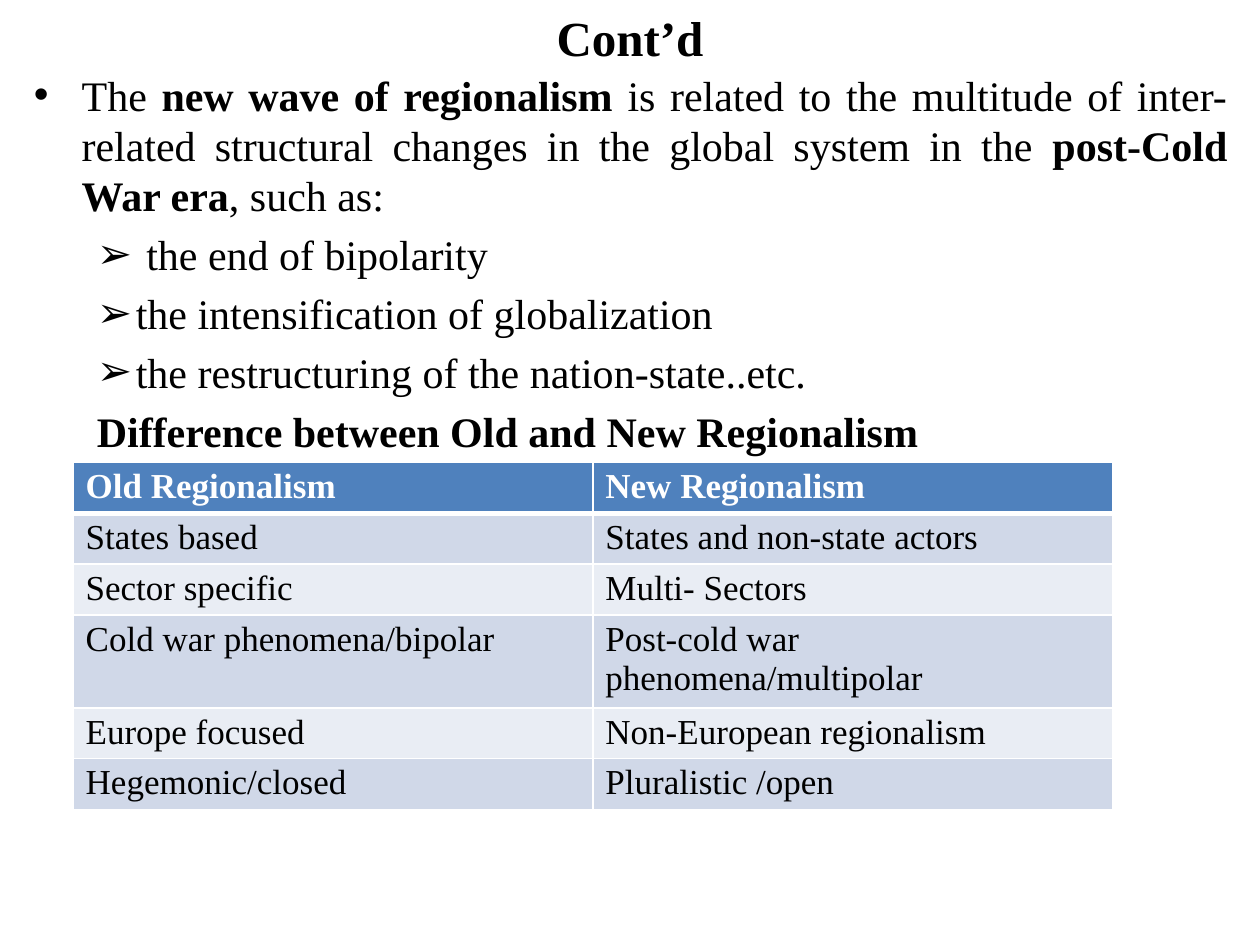
from typing import NamedTuple

from lxml.etree import SubElement
from pptx import Presentation
from pptx.dml.color import RGBColor
from pptx.enum.text import MSO_ANCHOR, PP_ALIGN
from pptx.oxml.ns import qn
from pptx.util import Inches, Pt

FONT = "Times New Roman"
BLACK = RGBColor(0x00, 0x00, 0x00)
WHITE = RGBColor(0xFF, 0xFF, 0xFF)
HEADER_BLUE = RGBColor(0x4F, 0x81, 0xBD)
BAND_DARK = RGBColor(0xD0, 0xD8, 0xE8)
BAND_LIGHT = RGBColor(0xE9, 0xED, 0xF4)


class Span(NamedTuple):
    text: str
    bold: bool = False


class Point(NamedTuple):
    spans: list[Span]
    margin: float
    indent: float = 0
    bullet: str = ""
    level: int = 0


def arrow_point(text: str) -> Point:
    return Point([Span(text)], 0.81, -0.31, "➢", 1)


POINTS = [
    Point(
        [
            Span("The "),
            Span("new wave of regionalism ", True),
            Span("is related to the multitude of inter-related structural changes "
                 "in the global system in the "),
            Span("post-Cold War era", True),
            Span(", such as:"),
        ],
        0.38, -0.38, "•",
    ),
    arrow_point(" the end of bipolarity"),
    arrow_point("the intensification of globalization"),
    arrow_point("the restructuring of the nation-state..etc."),
    Point([Span("Difference between Old and New Regionalism", True)], 0.5, level=1),
]

COMPARISON = [
    ("Old Regionalism", "New Regionalism"),
    ("States based", "States and non-state actors"),
    ("Sector specific", "Multi- Sectors"),
    ("Cold war phenomena/bipolar", "Post-cold war\nphenomena/multipolar"),
    ("Europe focused", "Non-European regionalism"),
    ("Hegemonic/closed", "Pluralistic /open"),
]


def add_run(paragraph, span: Span, size: float, color: RGBColor = BLACK) -> None:
    run = paragraph.add_run()
    run.text = span.text
    run.font.name = FONT
    run.font.size = Pt(size)
    run.font.bold = span.bold
    run.font.color.rgb = color


def add_text_frame(slide, left: float, top: float, width: float, height: float):
    shape = slide.shapes.add_textbox(
        Inches(left), Inches(top), Inches(width), Inches(height))
    shape.text_frame.word_wrap = True
    return shape.text_frame


def format_point(paragraph, point: Point) -> None:
    paragraph.alignment = PP_ALIGN.JUSTIFY
    paragraph.level = point.level
    properties = paragraph._p.get_or_add_pPr()
    properties.set("marL", str(Inches(point.margin)))
    properties.set("indent", str(Inches(point.indent)))
    if point.bullet:
        SubElement(properties, qn("a:buFont"), typeface="Arial")
        SubElement(properties, qn("a:buChar"), char=point.bullet)
    else:
        SubElement(properties, qn("a:buNone"))


def add_points(slide) -> None:
    frame = add_text_frame(slide, 0.17, 0.5, 9.67, 6.83)
    for index, point in enumerate(POINTS):
        paragraph = frame.add_paragraph() if index else frame.paragraphs[0]
        format_point(paragraph, point)
        paragraph.space_before = Pt(4.8 if index else 0)
        for span in point.spans:
            add_run(paragraph, span, 24)


def set_borders(cell, bottom_width: float) -> None:
    properties = cell._tc.get_or_add_tcPr()
    widths = {"a:lnL": 1, "a:lnR": 1, "a:lnT": 1, "a:lnB": bottom_width}
    for position, (side, width) in enumerate(widths.items()):
        line = SubElement(properties, qn(side), w=str(Pt(width)))
        fill = SubElement(line, qn("a:solidFill"))
        SubElement(fill, qn("a:srgbClr"), val=str(WHITE))
        properties.insert(position, line)


def fill_cell(cell, text: str, row_index: int) -> None:
    header = row_index == 0
    cell.margin_top = Inches(0.04)
    cell.margin_bottom = Inches(0.03)
    cell.fill.solid()
    cell.fill.fore_color.rgb = (
        HEADER_BLUE if header else BAND_DARK if row_index % 2 else BAND_LIGHT)
    set_borders(cell, 3 if header else 1)
    for index, line in enumerate(text.split("\n")):
        frame = cell.text_frame
        paragraph = frame.add_paragraph() if index else frame.paragraphs[0]
        add_run(paragraph, Span(line, header), 20, WHITE if header else BLACK)


def add_comparison(slide) -> None:
    table = slide.shapes.add_table(
        len(COMPARISON), 2, Inches(0.58), Inches(3.67), Inches(8.25), Inches(2.46)).table
    for row_index, texts in enumerate(COMPARISON):
        table.rows[row_index].height = Inches(0.4)
        for column_index, text in enumerate(texts):
            fill_cell(table.cell(row_index, column_index), text, row_index)


def main() -> None:
    presentation = Presentation()
    presentation.slide_width = Inches(10)
    presentation.slide_height = Inches(7.5)
    slide = presentation.slides.add_slide(presentation.slide_layouts[6])

    title = add_text_frame(slide, 0.5, 0.08, 9, 0.42)
    title.vertical_anchor = MSO_ANCHOR.MIDDLE
    title.paragraphs[0].alignment = PP_ALIGN.CENTER
    add_run(title.paragraphs[0], Span("Cont’d", True), 28)

    add_points(slide)
    add_comparison(slide)
    presentation.save("out.pptx")


if __name__ == "__main__":
    main()
